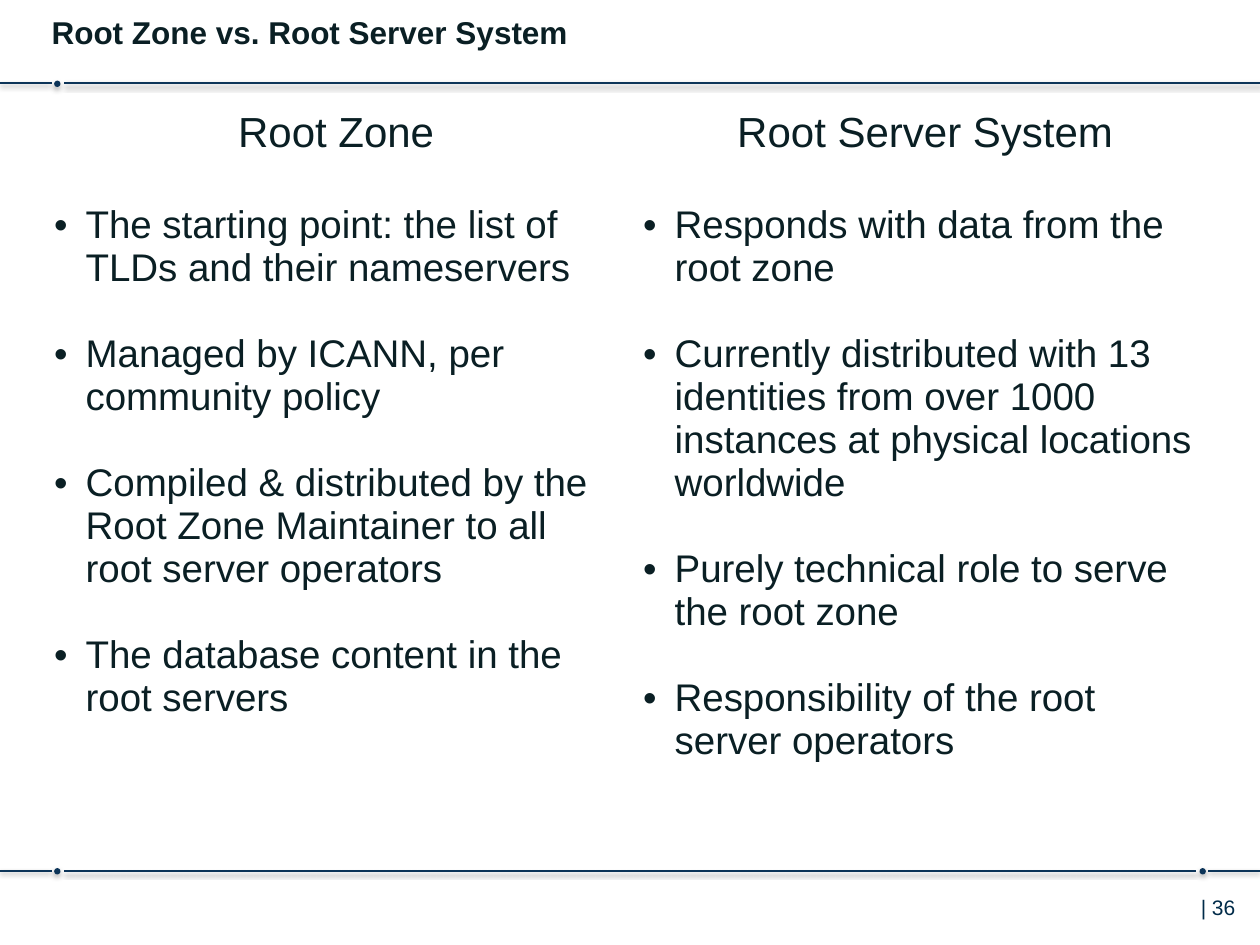
from dataclasses import dataclass
from typing import NamedTuple

import pptx
import pptx.dml.color
import pptx.enum.shapes
import pptx.enum.text
import pptx.oxml
import pptx.oxml.ns
import pptx.util
from pptx.util import Inches


@dataclass(frozen=True)
class Theme:
    font: str = "Arial"
    rule: str = "0C3458"
    text: str = "0A1F24"
    number: str = "002B49"
    title_size: float = 18
    heading_size: float = 24
    body_size: float = 22
    number_size: float = 12
    heading_gap: float = 26.8
    body_gap: float = 24.6


class Column(NamedTuple):
    heading: str
    points: list[str]


class Rule(NamedTuple):
    start: float
    end: float
    y: float


class Dot(NamedTuple):
    left: float
    top: float


THEME = Theme()
DOT_SIZE = 0.05
TOP_Y, BOTTOM_Y = 0.66, 6.91

RULES = [
    Rule(0.41, 0, TOP_Y),
    Rule(10, 0.51, TOP_Y),
    Rule(0.41, 0, BOTTOM_Y),
    Rule(9.49, 0.51, BOTTOM_Y),
    Rule(9.59, 10, BOTTOM_Y),
]
DOTS = [Dot(0.43, 0.64), Dot(0.43, 6.89), Dot(9.52, 6.89)]

COLUMNS = [
    Column("Root Zone", [
        "The starting point: the list of TLDs and their nameservers",
        "Managed by ICANN, per community policy",
        "Compiled & distributed by the Root Zone Maintainer to all root server operators",
        "The database content in the root servers",
    ]),
    Column("Root Server System", [
        "Responds with data from the root zone",
        "Currently distributed with 13 identities from over 1000 instances "
        "at physical locations worldwide",
        "Purely technical role to serve the root zone",
        "Responsibility of the root server operators",
    ]),
]


def rgb(value: str) -> pptx.dml.color.RGBColor:
    return pptx.dml.color.RGBColor.from_string(value)


def add_shadow(shape, distance: float, opacity: int) -> None:
    """Give a shape a soft shadow straight below it."""
    blur, offset = pptx.util.Pt(3.1), pptx.util.Pt(distance)
    shape._element.spPr.append(pptx.oxml.parse_xml(
        f'<a:effectLst {pptx.oxml.ns.nsdecls("a")}>'
        f'<a:outerShdw blurRad="{blur}" dist="{offset}" dir="5400000" rotWithShape="0">'
        f'<a:srgbClr val="000000"><a:alpha val="{opacity * 1000}"/></a:srgbClr>'
        '</a:outerShdw></a:effectLst>'
    ))


def add_rule(page, rule: Rule) -> None:
    line = page.shapes.add_connector(
        pptx.enum.shapes.MSO_CONNECTOR.STRAIGHT,
        Inches(rule.start), Inches(rule.y), Inches(rule.end), Inches(rule.y),
    )
    line.line.color.rgb = rgb(THEME.rule)
    line.line.width = pptx.util.Pt(1)
    add_shadow(line, 1.6, 38)


def add_dot(page, dot: Dot) -> None:
    shape = page.shapes.add_shape(
        pptx.enum.shapes.MSO_SHAPE.OVAL,
        Inches(dot.left), Inches(dot.top), Inches(DOT_SIZE), Inches(DOT_SIZE),
    )
    shape.fill.solid()
    shape.fill.fore_color.rgb = rgb(THEME.rule)
    shape.line.fill.background()
    add_shadow(shape, 1.8, 35)


def format_runs(para, size: float, color: str, bold: bool = False) -> None:
    for span in para.runs:
        span.font.name = THEME.font
        span.font.size = pptx.util.Pt(size)
        span.font.color.rgb = rgb(color)
        span.font.bold = bold


def add_label(page, text: str, left: float, top: float, width: float, height: float,
              inset: float, size: float, color: str, bold: bool = False) -> None:
    box = page.shapes.add_textbox(Inches(left), Inches(top), Inches(width), Inches(height))
    frame = box.text_frame
    frame.word_wrap = True
    frame.margin_left, frame.margin_right = Inches(inset), Inches(0)
    frame.text = text
    format_runs(frame.paragraphs[0], size, color, bold)


def add_bullet(para) -> None:
    properties = para._p.get_or_add_pPr()
    properties.set("marL", str(Inches(0.25)))
    properties.set("indent", str(-Inches(0.25)))
    namespace = pptx.oxml.ns.nsdecls("a")
    for xml in (
        f'<a:buClr {namespace}><a:srgbClr val="{THEME.text}"/></a:buClr>',
        f'<a:buFont {namespace} typeface="{THEME.font}"/>',
        f'<a:buChar {namespace} char="•"/>',
    ):
        properties.append(pptx.oxml.parse_xml(xml))


def fill_cell(cell, column: Column) -> None:
    frame = cell.text_frame
    frame.text = column.heading
    heading = frame.paragraphs[0]
    heading.alignment = pptx.enum.text.PP_ALIGN.CENTER
    format_runs(heading, THEME.heading_size, THEME.text)
    for index, point in enumerate(column.points):
        para = frame.add_paragraph()
        para.text = point
        gap = THEME.body_gap if index else THEME.heading_gap
        para.space_before = pptx.util.Pt(gap)
        add_bullet(para)
        format_runs(para, THEME.body_size, THEME.text)


def add_comparison(page, columns: list[Column]) -> None:
    table = page.shapes.add_table(
        2, len(columns), Inches(0.33), Inches(0.82), Inches(9.35), Inches(0.81)
    ).table
    table.first_row = False
    table.horz_banding = False
    for cell in table.iter_cells():
        cell.fill.background()
    for index, column in enumerate(columns):
        fill_cell(table.cell(0, index), column)


def main() -> None:
    deck = pptx.Presentation()
    deck.slide_width, deck.slide_height = Inches(10), Inches(7.5)
    page = deck.slides.add_slide(deck.slide_layouts[6])
    for dot in DOTS:
        add_dot(page, dot)
    for rule in RULES:
        add_rule(page, rule)
    add_label(page, "| 36", 9.29, 7.05, 0.87, 0.4, 0.24,
              THEME.number_size, THEME.number)
    add_label(page, "Root Zone vs. Root Server System", 0.41, 0.05, 8.76, 0.49, 0,
              THEME.title_size, THEME.text, bold=True)
    add_comparison(page, COLUMNS)
    deck.save("out.pptx")


if __name__ == "__main__":
    main()
